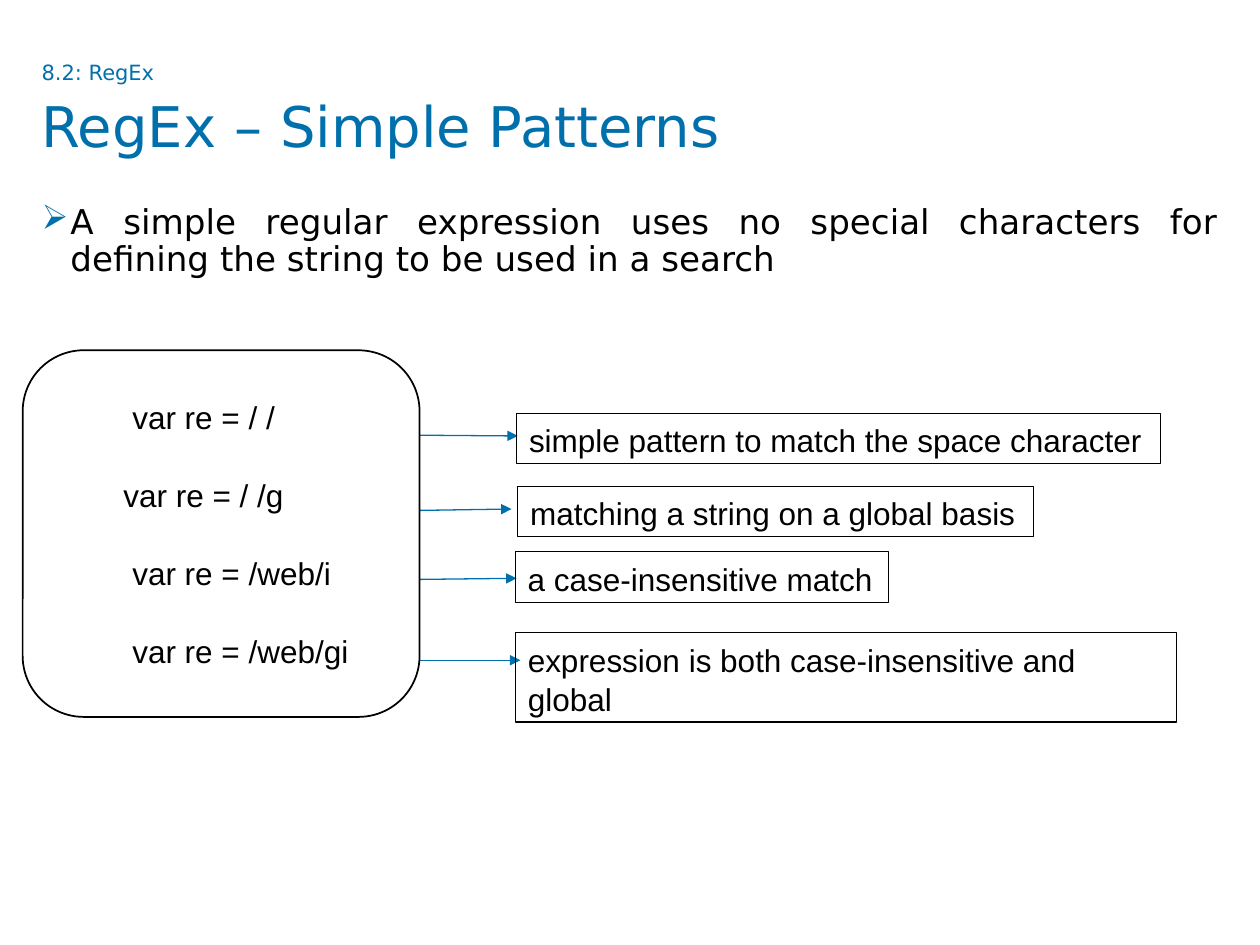
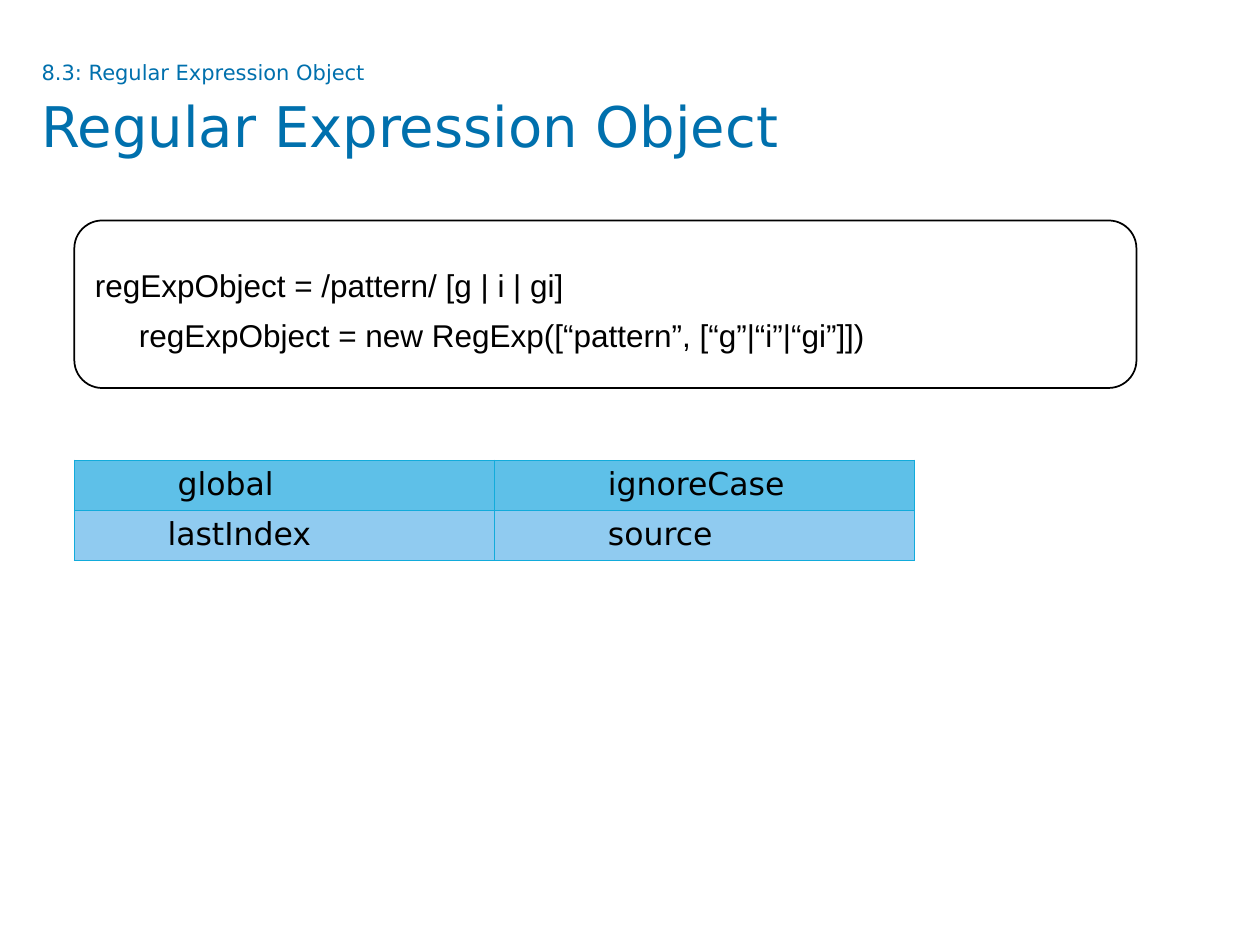
"""Build two slides on simple RegEx patterns and the regular expression object."""
from lxml.etree import SubElement
from pptx import Presentation
from pptx.dml.color import RGBColor
from pptx.enum.shapes import MSO_CONNECTOR, MSO_SHAPE
from pptx.enum.text import MSO_ANCHOR, MSO_AUTO_SIZE, PP_ALIGN
from pptx.oxml.ns import qn
from pptx.util import Inches, Pt

BLUE, BLACK, WHITE, BORDER = "0070AD", "000000", "FFFFFF", "12ABDB"
SANS, ARIAL = "DejaVu Sans", "Arial"


def style(p, size, font, color=BLACK):
    """Format every run of a paragraph."""
    for r in p.runs:
        r.font.size, r.font.name = Pt(size), font
        r.font.color.rgb = RGBColor.from_string(color)


def add_box(s, kind, box, lines, indents, weight, anchor):
    """Add an outlined shape with left-aligned lines of text."""
    sp = s.shapes.add_shape(kind, *map(Inches, box))
    sp.shadow.inherit = False
    sp.line.color.rgb = RGBColor.from_string(BLACK)
    sp.line.width = Pt(weight)
    if kind == MSO_SHAPE.ROUNDED_RECTANGLE:
        sp.fill.solid()
        sp.fill.fore_color.rgb = RGBColor.from_string(WHITE)
    else:
        sp.fill.background()
    tf = sp.text_frame
    tf.word_wrap = True
    tf.vertical_anchor = anchor
    tf.text = "\n".join(lines)
    for p, indent in zip(tf.paragraphs, indents):
        p.alignment = PP_ALIGN.LEFT
        p._p.get_or_add_pPr().set("marL", str(Inches(indent)))
        style(p, 18, ARIAL)
    return tf


prs = Presentation()
prs.slide_width, prs.slide_height = Inches(10), Inches(7.5)

titles = [
    ("8.2: RegEx", "RegEx – Simple Patterns"),
    ("8.3: Regular Expression Object", "Regular Expression Object"),
]
for section, heading in titles:
    s = prs.slides.add_slide(prs.slide_layouts[5])
    sp = s.shapes.title
    sp.left, sp.top, sp.width, sp.height = map(Inches, (0.33, 0.45, 9.33, 0.94))
    tf = sp.text_frame
    tf.text = f"{section}\v{heading}"
    tf.auto_size = MSO_AUTO_SIZE.NONE
    tf.vertical_anchor = MSO_ANCHOR.TOP
    tf.margin_left = tf.margin_right = tf.margin_top = tf.margin_bottom = 0
    p = tf.paragraphs[0]
    p.alignment = PP_ALIGN.LEFT
    p.line_spacing = 1.1
    style(p, 32, SANS, BLUE)
    p.runs[0].font.size = Pt(12)
    SubElement(p._p.find(qn("a:br")), qn("a:rPr"), sz="1200")

patterns, regexp = prs.slides

tf = patterns.shapes.add_textbox(*map(Inches, (0.33, 1.63, 9.34, 5.08))).text_frame
tf.word_wrap = True
tf.margin_left = tf.margin_right = tf.margin_top = tf.margin_bottom = 0
tf.text = ("A simple regular expression uses no special characters "
           "for defining the string to be used in a search")
p = tf.paragraphs[0]
p.alignment = PP_ALIGN.JUSTIFY
p.line_spacing = 0.9
p.space_before = Pt(7.5)
style(p, 19.5, SANS)
pPr = p._p.get_or_add_pPr()
pPr.set("marL", str(Inches(0.23)))
pPr.set("indent", str(-Inches(0.23)))
SubElement(SubElement(pPr, qn("a:buClr")), qn("a:srgbClr"), val=BLUE)
SubElement(pPr, qn("a:buChar"), char="➢")

arrows = [
    (2.81, 3.45, 4.11, 3.46),
    (2.73, 4.06, 4.06, 4.04),
    (3.19, 4.6, 4.1, 4.59),
    (3.33, 5.24, 4.13, 5.24),
]
for ends in arrows:
    c = patterns.shapes.add_connector(MSO_CONNECTOR.STRAIGHT, *map(Inches, ends))
    c.line.color.rgb = RGBColor.from_string(BLUE)
    c.line.width = Pt(0.75)
    SubElement(c.line._get_or_add_ln(), qn("a:tailEnd"), type="triangle")
    SubElement(c._element.spPr, qn("a:effectLst"))

meanings = [
    ((4.1, 3.28, 5.11, 0.4), "simple pattern to match the space character"),
    ((4.11, 3.86, 4.09, 0.4), "matching a string on a global basis"),
    ((4.09, 4.38, 2.96, 0.4), "a case-insensitive match"),
    ((4.09, 5.02, 5.25, 0.71), "expression is both case-insensitive and global"),
]
for box, meaning in meanings:
    tf = add_box(patterns, MSO_SHAPE.RECTANGLE, box, [meaning], [0], 0.75, MSO_ANCHOR.TOP)
    tf.paragraphs[0].line_spacing = 1.05

code = ["var re = / /", "var re = / /g", "var re = /web/i", "var re = /web/gi"]
tf = add_box(patterns, MSO_SHAPE.ROUNDED_RECTANGLE, (0.18, 2.78, 3.15, 2.91), code,
             [0.63, 0.56, 0.63, 0.63], 1, MSO_ANCHOR.MIDDLE)
for p in tf.paragraphs[1:]:
    p.space_before = Pt(23)

rows = [
    ("5EC0E8", [("global", 0.82), ("ignoreCase", 0.9)]),
    ("90CBF0", [("lastIndex", 0.74), ("source", 0.9)]),
]
frame = regexp.shapes.add_table(2, 2, *map(Inches, (0.59, 3.65, 6.67, 0.8)))
for i, (fill, properties) in enumerate(rows):
    for j, (name, margin) in enumerate(properties):
        cell = frame.table.cell(i, j)
        cell.text = name
        cell.margin_left = Inches(margin)
        style(cell.text_frame.paragraphs[0], 18, SANS)
        tcPr = cell._tc.get_or_add_tcPr()
        for side in "LRTB":
            ln = SubElement(tcPr, qn(f"a:ln{side}"), w=str(Pt(0.5)))
            SubElement(SubElement(ln, qn("a:solidFill")), qn("a:srgbClr"), val=BORDER)
        cell.fill.solid()
        cell.fill.fore_color.rgb = RGBColor.from_string(fill)

syntax = ["regExpObject = /pattern/ [g | i | gi]",
          "regExpObject = new RegExp([“pattern”, [“g”|“i”|“gi”]])"]
tf = add_box(regexp, MSO_SHAPE.ROUNDED_RECTANGLE, (0.59, 1.75, 8.43, 1.33), syntax,
             [0, 0.35], 1, MSO_ANCHOR.MIDDLE)
for p in tf.paragraphs:
    p.line_spacing = 1.3

prs.save("out.pptx")
